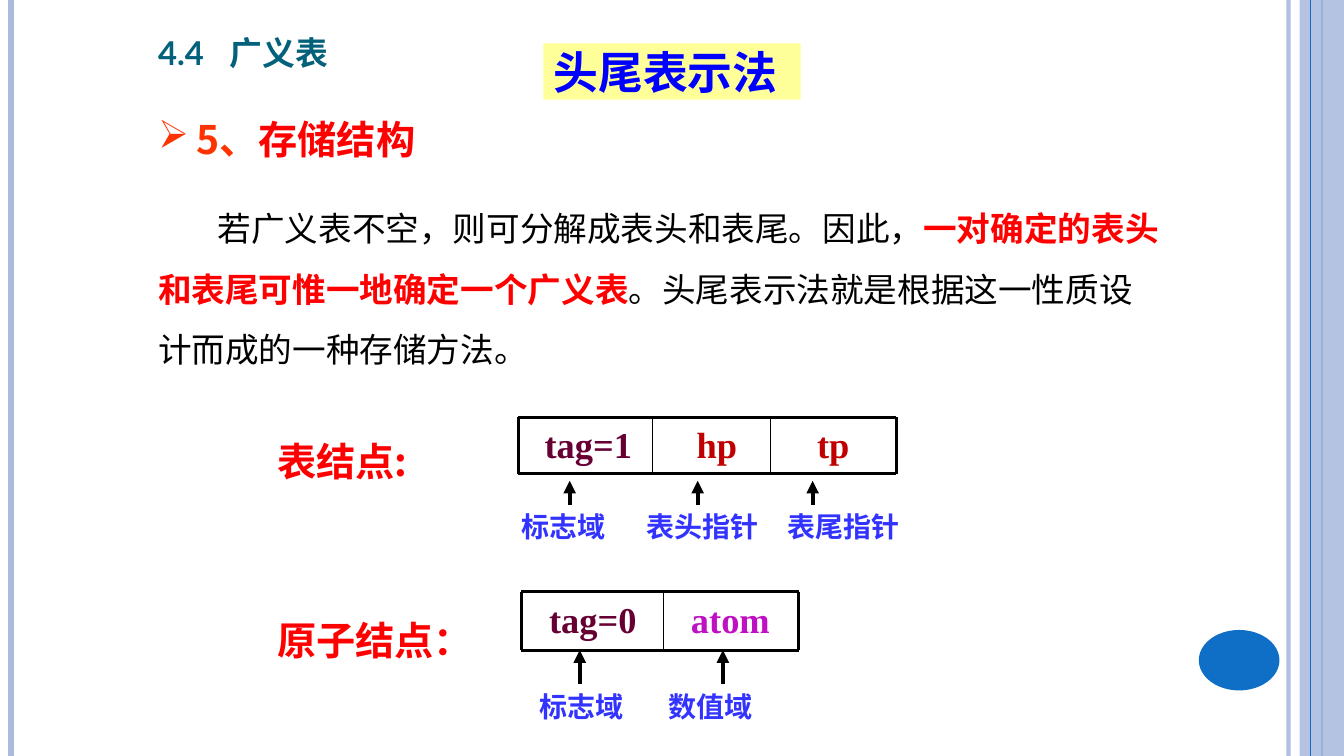
from pptx import Presentation
from pptx.dml.color import RGBColor
from pptx.enum.shapes import MSO_CONNECTOR as Connector, MSO_SHAPE as Shape
from pptx.enum.text import MSO_ANCHOR as Anchor, PP_ALIGN as Align
from pptx.oxml.ns import qn
from pptx.util import Inches, Pt
from lxml.etree import SubElement

BLACK = RGBColor(0x00, 0x00, 0x00)
RED = RGBColor(0xFF, 0x00, 0x00)
ORANGE = RGBColor(0xFF, 0x33, 0x00)
DARK_RED = RGBColor(0xC0, 0x00, 0x00)
MAROON = RGBColor(0x66, 0x00, 0x33)
MAGENTA = RGBColor(0xBF, 0x11, 0xC3)
CAPTION_BLUE = RGBColor(0x33, 0x33, 0xFF)
TITLE_BLUE = RGBColor(0x00, 0x00, 0xFF)
TITLE_YELLOW = RGBColor(0xFF, 0xFF, 0x99)
TEAL = RGBColor(0x04, 0x61, 0x7B)
ACCENT = RGBColor(0x0F, 0x6F, 0xC6)
PALE = RGBColor(0xAB, 0xBB, 0xDF)

HAN, SERIF, SANS = "Noto Sans CJK SC", "Times New Roman", "Lato"


class SlideBuilder:
    """Holds the style and the current slide, and draws each kind of element."""

    def __init__(self, slide):
        self.slide = slide

    def fade(self, fill, opacity):
        color = fill._xPr.find(".//" + qn("a:srgbClr"))
        SubElement(color, qn("a:alpha"), val=str(opacity * 1000))

    def line(self, start, end, color=BLACK, width=2.25, opacity=100, arrow=False):
        connector = self.slide.shapes.add_connector(
            Connector.STRAIGHT, *(Inches(v) for v in (*start, *end)))
        connector.line.width = Pt(width)
        connector.line.color.rgb = color
        if opacity < 100:
            self.fade(connector.line.fill, opacity)
        if arrow:
            SubElement(connector.line._get_or_add_ln(), qn("a:headEnd"), type="triangle")
        SubElement(connector._element.spPr, qn("a:effectLst"))

    def shape(self, kind, box, color, opacity=100):
        shape = self.slide.shapes.add_shape(kind, *(Inches(v) for v in box))
        shape.shadow.inherit = False
        shape.fill.solid()
        shape.fill.fore_color.rgb = color
        shape.line.fill.background()
        if opacity < 100:
            self.fade(shape.fill, opacity)
        return shape

    def box(self, box, anchor=Anchor.TOP):
        frame = self.slide.shapes.add_textbox(*(Inches(v) for v in box)).text_frame
        frame.word_wrap = True
        frame.vertical_anchor = anchor
        return frame

    def run(self, paragraph, text, size, color, font=HAN, bold=True):
        run = paragraph.add_run()
        run.text = text
        run.font.size = Pt(size)
        run.font.bold = bold
        run.font.color.rgb = color
        run.font.name = font
        SubElement(run._r.rPr, qn("a:ea"), typeface=HAN)
        return run

    def indent(self, paragraph, left, first):
        props = paragraph._p.get_or_add_pPr()
        props.set("marL", str(Inches(left)))
        props.set("indent", str(Inches(first)))

    def bullet(self, paragraph, char, color):
        props = paragraph._p.get_or_add_pPr()
        SubElement(SubElement(props, qn("a:buClr")), qn("a:srgbClr"), val=str(color))
        SubElement(props, qn("a:buChar"), char=char)

    def tabs(self, paragraph, stops):
        tab_list = SubElement(paragraph._p.get_or_add_pPr(), qn("a:tabLst"))
        for stop in stops:
            SubElement(tab_list, qn("a:tab"), pos=str(Inches(stop)), algn="l")

    def node(self, top, bottom, edges, cells, arrows, arrow_foot, captions):
        for text, left, width, color in cells:
            field = self.box((left, top, width, bottom - top)).paragraphs[0]
            field.alignment = Align.CENTER
            self.run(field, text, 26, color, SERIF)
        for y in (top, bottom):
            self.line((edges[0], y), (edges[-1], y))
        for x in edges:
            outer = x in (edges[0], edges[-1])
            self.line((x, top), (x, bottom), width=2.25 if outer else 1)
        for x in arrows:
            self.line((x, arrow_foot[0]), (x, arrow_foot[1]), width=3, arrow=True)
        names, starts = zip(*captions)
        row = self.box((starts[0] - 0.1, arrow_foot[1], 4.1, 0.44)).paragraphs[0]
        self.tabs(row, [start - starts[0] for start in starts[1:]])
        self.run(row, "\t".join(names), 20, CAPTION_BLUE, SERIF)


deck = Presentation()
deck.slide_width, deck.slide_height = Inches(13.33), Inches(7.5)
page = SlideBuilder(deck.slides.add_slide(deck.slide_layouts[6]))

page.line((12.78, 0), (12.78, 7.5), PALE, 3, opacity=93)
page.line((0.11, 0), (0.11, 7.5), PALE, 4.5)
page.line((13.11, 0), (13.11, 7.5), ACCENT, 1.5)
page.shape(Shape.RECTANGLE, (12.89, 0, 0.44, 7.5), PALE, opacity=87)
page.line((13, 0), (13, 7.5), ACCENT, 0.75)
page.shape(Shape.OVAL, (11.89, 6.25, 0.8, 0.6), ACCENT)

heading = page.box((1.47, 1, 3.58, 0.71)).paragraphs[0]
heading.line_spacing = 1.2
page.indent(heading, 0.38, -0.38)
page.bullet(heading, "➢", ORANGE)
page.run(heading, "5、", 28, ORANGE)
page.run(heading, "存储结构", 28, RED)

section = page.box((1.47, 0.18, 3.7, 0.61), Anchor.BOTTOM).paragraphs[0]
section.line_spacing = 0.9
page.tabs(section, [0.71])
section_name = page.run(section, "4.4\t广义表", 29.2, TEAL, SANS)
section_name._r.rPr.set("cap", "small")

body = page.box((1.47, 1.72, 10.16, 2.09), Anchor.MIDDLE).paragraphs[0]
body.line_spacing = 1.5
page.indent(body, 0, 0.59)
page.run(body, "若广义表不空，则可分解成表头和表尾。因此，", 24, BLACK, SERIF, False)
page.run(body, "一对确定的表头和表尾可惟一地确定一个广义表", 24, RED, SERIF)
page.run(body, "。头尾表示法就是根据这一性质设计而成的一种存储方法。", 24, BLACK, SERIF, False)

node_names = page.box((2.65, 4.29, 2.17, 2.46))
page.run(node_names.paragraphs[0], "表结点:", 28, RED)
atom_name = node_names.add_paragraph()
atom_name.space_before = Pt(94)
page.run(atom_name, "原子结点：", 28, RED, SERIF)

page.node(4.14, 4.7, (5.14, 6.47, 7.64, 8.89),
          (("tag=1", 5.14, 1.39, MAROON), ("hp", 6.58, 1.06, DARK_RED),
           ("tp", 7.64, 1.25, DARK_RED)),
          (5.65, 6.92, 8.06), (4.77, 5.01),
          (("标志域", 5.17), ("表头指针", 6.41), ("表尾指针", 7.81)))
page.node(5.87, 6.45, (5.17, 6.58, 7.92),
          (("tag=0", 5.17, 1.42, MAROON), ("atom", 6.58, 1.33, MAGENTA)),
          (5.75, 7.17), (6.45, 6.79),
          (("标志域", 5.35), ("数值域", 6.63)))

title = page.shape(Shape.RECTANGLE, (5.39, 0.43, 2.55, 0.56), TITLE_YELLOW).text_frame
title.vertical_anchor = Anchor.MIDDLE
title.paragraphs[0].alignment = Align.LEFT
page.run(title.paragraphs[0], "头尾表示法", 32, TITLE_BLUE)

deck.save("out.pptx")
